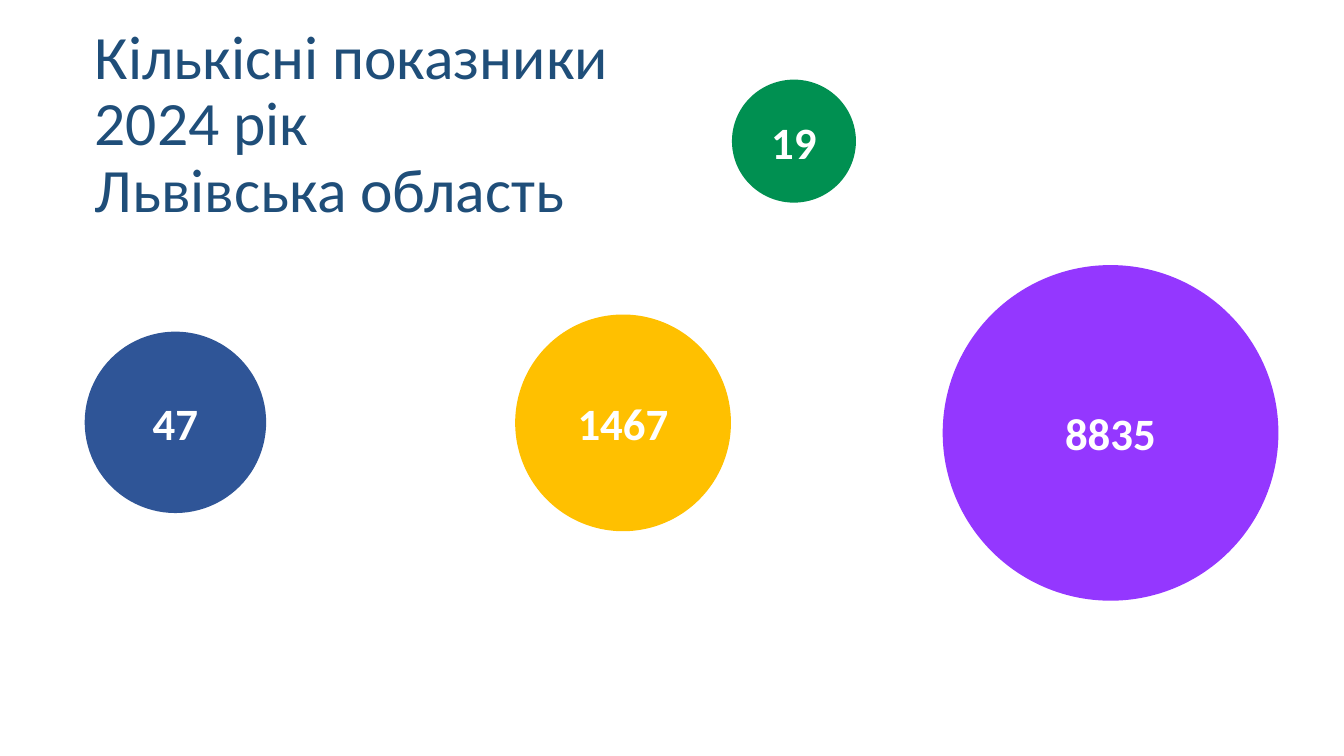
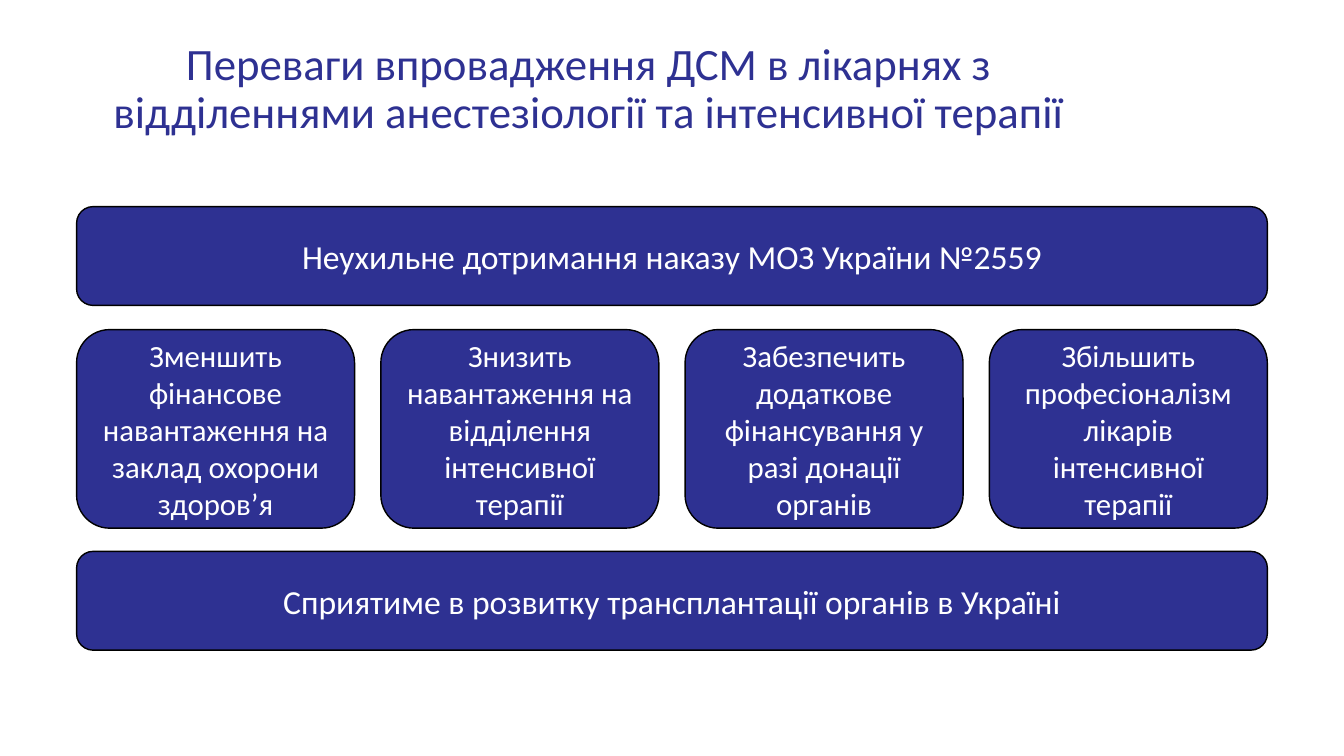
from pptx import Presentation
from pptx.dml.color import RGBColor
from pptx.enum.shapes import MSO_SHAPE
from pptx.enum.text import MSO_ANCHOR, MSO_AUTO_SIZE, PP_ALIGN
from pptx.util import Inches, Pt

FONT = "Calibri"
WHITE = RGBColor(0xFF, 0xFF, 0xFF)
BLACK = RGBColor(0x00, 0x00, 0x00)
NAVY = RGBColor(0x1F, 0x4E, 0x79)
INDIGO = RGBColor(0x2E, 0x31, 0x92)
BLUE = RGBColor(0x2F, 0x55, 0x97)
GREEN = RGBColor(0x00, 0x90, 0x51)
AMBER = RGBColor(0xFF, 0xC0, 0x00)
VIOLET = RGBColor(0x94, 0x37, 0xFF)

TITLE_ONLY = 5

# Slide 1: text, fill, left, top, width, height
CIRCLES = [
    ("19", GREEN, 7.26, 0.79, 1.23, 1.22),
    ("47", BLUE, 0.84, 3.29, 1.8, 1.8),
    ("1467", AMBER, 5.11, 3.12, 2.14, 2.15),
    ("8835", VIOLET, 9.35, 2.63, 3.33, 3.33),
]

# Slide 2: box grid
LEFT, WIDTH = 0.76, 11.81
GAP = 0.26
BAR_H, CARD_H = 0.98, 1.97
BARS = [
    ("Неухильне дотримання наказу МОЗ України №2559", 2.05),
    ("Сприятиме в розвитку трансплантації органів в Україні", 5.47),
]
CARD_TOP = 3.27
CARDS = [
    "Зменшить фінансове навантаження на заклад охорони здоров’я",
    "Знизить навантаження на відділення інтенсивної терапії",
    "Забезпечить додаткове фінансування у разі донації органів",
    "Збільшить професіоналізм лікарів інтенсивної терапії",
]


def put_text(shape, text, size, color=WHITE, bold=False,
             align=PP_ALIGN.CENTER, spacing=None):
    """Write one formatted paragraph, centred vertically in the shape."""
    frame = shape.text_frame
    frame.word_wrap = True
    frame.auto_size = MSO_AUTO_SIZE.NONE
    frame.vertical_anchor = MSO_ANCHOR.MIDDLE
    para = frame.paragraphs[0]
    para.text = text
    para.alignment = align
    para.line_spacing = spacing
    for run in para.runs:
        font = run.font
        font.name, font.size, font.bold = FONT, Pt(size), bold
        font.color.rgb = color


def add_slide(deck, title, box, size, color, align):
    """Add a slide and place its title."""
    slide = deck.slides.add_slide(deck.slide_layouts[TITLE_ONLY])
    head = slide.shapes.title
    head.left, head.top, head.width, head.height = map(Inches, box)
    put_text(head, title, size, color=color, align=align, spacing=0.9)
    return slide


def add_shape(slide, kind, box, fill, line=None):
    shape = slide.shapes.add_shape(kind, *map(Inches, box))
    shape.shadow.inherit = False
    shape.fill.solid()
    shape.fill.fore_color.rgb = fill
    if line is None:
        shape.line.fill.background()
    else:
        shape.line.color.rgb = line
        shape.line.width = Pt(1)
    return shape


def add_circle(slide, text, fill, *box):
    shape = add_shape(slide, MSO_SHAPE.OVAL, box, fill)
    put_text(shape, text, 32, bold=True)


def add_box(slide, text, box, size):
    shape = add_shape(slide, MSO_SHAPE.ROUNDED_RECTANGLE, box, INDIGO, BLACK)
    put_text(shape, text, size)


def build_counts(deck):
    slide = add_slide(deck, "Кількісні показники\n2024 рік\nЛьвівська область",
                      (0.84, 0.64, 8.99, 1.22), 44, NAVY, PP_ALIGN.LEFT)
    for circle in CIRCLES:
        add_circle(slide, *circle)


def build_gains(deck):
    slide = add_slide(deck, "Переваги впровадження ДСМ в лікарнях з "
                      "відділеннями анестезіології та інтенсивної терапії",
                      (0.92, 0.4, 9.84, 0.98), 32, INDIGO, PP_ALIGN.CENTER)
    # Full-width bars
    for text, top in BARS:
        add_box(slide, text, (LEFT, top, WIDTH, BAR_H), 24)
    # Row of equal cards
    count = len(CARDS)
    card_w = (WIDTH - GAP * (count - 1)) / count
    for i, text in enumerate(CARDS):
        left = LEFT + i * (card_w + GAP)
        add_box(slide, text, (left, CARD_TOP, card_w, CARD_H), 22)


def main():
    deck = Presentation()
    deck.slide_width, deck.slide_height = Inches(13.33), Inches(7.5)
    build_counts(deck)
    build_gains(deck)
    deck.save("out.pptx")


if __name__ == "__main__":
    main()
